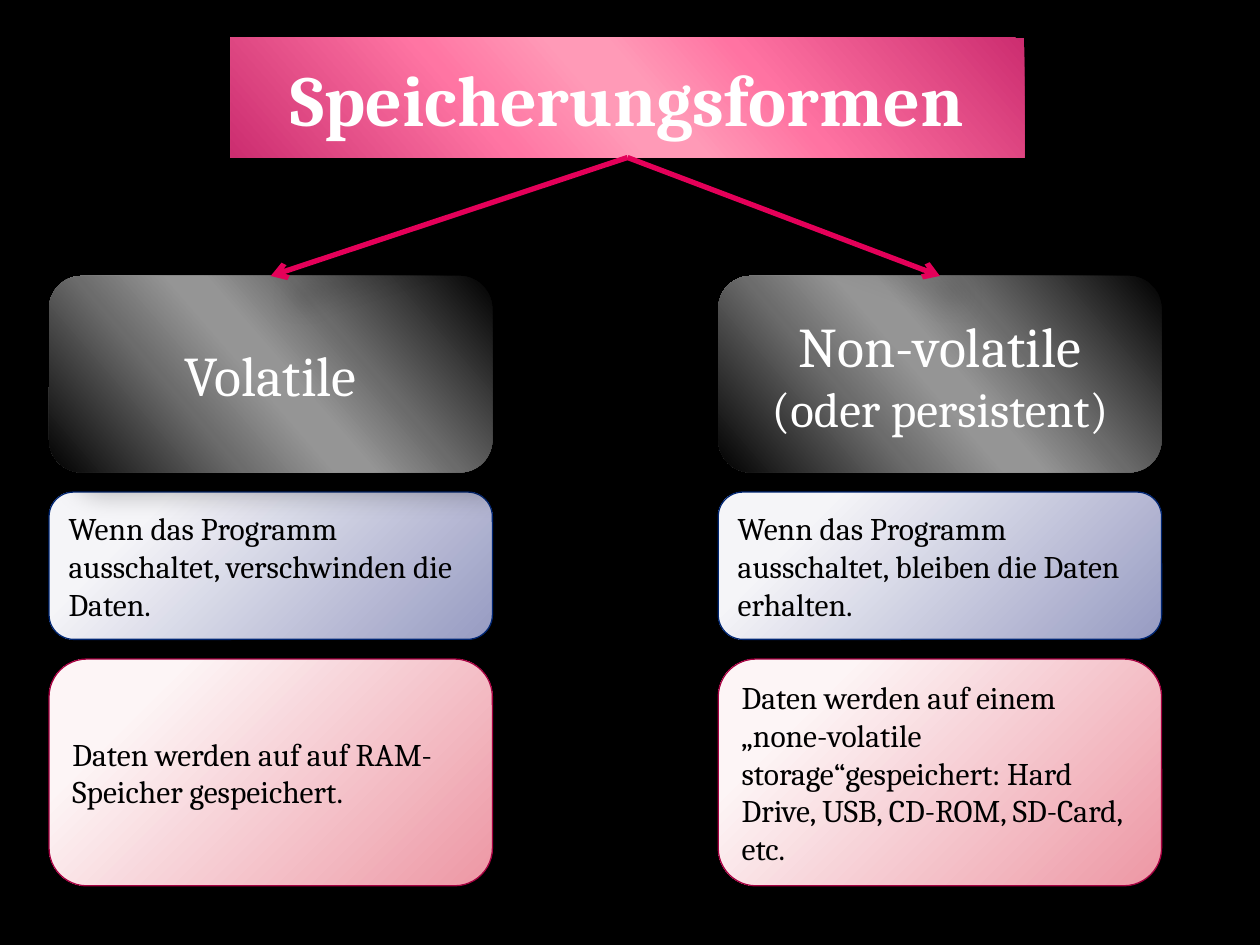
from lxml import etree
from pptx import Presentation
from pptx.dml.color import RGBColor
from pptx.enum import shapes, text
from pptx.oxml import ns
from pptx.util import Pt

FONT = "Cambria"
HEX = {
    "back": "000000", "white": "FFFFFF", "black": "000000",
    "navy": "002673", "wine": "A60041", "arrow": "E40059",
}
PINK = [(0, "CC2D70"), (33, "FF73A2"), (47, "FF9AB7"),
        (53, "FF9AB7"), (68, "FF75A3"), (100, "CC2D70")]
GREY = [(0, "000000"), (33, "6B6B6B"), (47, "959595"),
        (53, "959595"), (68, "6C6C6C"), (100, "000000")]
BLUE = [(20, "F5F5F8"), (100, "979BC2")]
ROSE = [(20, "FDF5F6"), (100, "ED97A4")]

# Shadows: opacity in percent, blur and distance in points
DEEP = (26, 15, 18)
SOFT = (35, 10.2, 8)

LEFT, RIGHT, WIDE = 28, 410.4, 253.4
TOP, GAP = 157.7, 11.2
HIGH = [112.3, 84.2, 129.6]
ROWS = [TOP + sum(HIGH[:i]) + GAP * i for i in range(len(HIGH))]


def rgb(name):
    return RGBColor.from_string(HEX[name])


def add(parent, tag, **attrs):
    node = etree.SubElement(parent, ns.qn("a:" + tag))
    for key, val in attrs.items():
        node.set(key, str(val))
    return node


def blend(shape, stops, round_off):
    """Fill with a gradient, either slanted or spreading from the top left."""
    shape.fill.gradient()
    grad = shape._element.spPr.find(ns.qn("a:gradFill"))
    for node in list(grad):
        grad.remove(node)
    group = add(grad, "gsLst")
    for pos, tone in stops:
        add(add(group, "gs", pos=pos * 1000), "srgbClr", val=tone)
    if round_off:
        path = add(grad, "path", path="circle")
        add(path, "fillToRect", l=-15000, t=-15000, r=115000, b=115000)
    else:
        add(grad, "lin", ang=139 * 60000, scaled=0)


def shade(shape, cast):
    alpha, blur, dist = cast
    group = add(shape._element.spPr, "effectLst")
    outer = add(group, "outerShdw", blurRad=Pt(blur), dist=Pt(dist),
                dir=45 * 60000, algn="tl", rotWithShape=0)
    tone = add(outer, "srgbClr", val=HEX["black"])
    add(tone, "alpha", val=alpha * 1000)


def write(shape, lines, tone, align, bold=False):
    frame = shape.text_frame
    frame.word_wrap = True
    frame.auto_size = text.MSO_AUTO_SIZE.NONE
    frame.vertical_anchor = text.MSO_ANCHOR.MIDDLE
    for i, (words, size) in enumerate(lines):
        para = frame.add_paragraph() if i else frame.paragraphs[0]
        para.alignment = align
        run = para.add_run()
        run.text = words
        font = run.font
        font.name, font.size, font.bold = FONT, Pt(size), bold
        font.color.rgb = rgb(tone)


def add_title(slide, words):
    title = slide.shapes.title
    title.left, title.top = Pt(131.8), Pt(21.6)
    title.width, title.height = Pt(453.6), Pt(68.4)
    blend(title, PINK, False)
    shade(title, DEEP)
    write(title, [(words, 41)], "white", text.PP_ALIGN.CENTER, True)
    return title


def add_box(slide, left, row, stops, round_off, edge, cast):
    box = slide.shapes.add_shape(
        shapes.MSO_SHAPE.ROUNDED_RECTANGLE,
        Pt(left), Pt(ROWS[row]), Pt(WIDE), Pt(HIGH[row]))
    blend(box, stops, round_off)
    if edge:
        box.line.color.rgb = rgb(edge)
        box.line.width = Pt(0.75)
    else:
        box.line.fill.background()
    shade(box, cast)
    return box


def add_head(slide, left, lines):
    box = add_box(slide, left, 0, GREY, False, None, DEEP)
    write(box, lines, "white", text.PP_ALIGN.CENTER)
    return box


def add_note(slide, left, row, words):
    stops, edge = [(BLUE, "navy"), (ROSE, "wine")][row - 1]
    box = add_box(slide, left, row, stops, True, edge, SOFT)
    write(box, [(words, 18)], "black", text.PP_ALIGN.LEFT)


def add_arrow(slide, start, end):
    """Link the bottom of one shape to the top of another."""
    link = slide.shapes.add_connector(shapes.MSO_CONNECTOR.STRAIGHT, 0, 0, 0, 0)
    link.begin_connect(start, 2)
    link.end_connect(end, 0)
    link.line.color.rgb = rgb("arrow")
    link.line.width = Pt(3)
    add(link._element.spPr.find(ns.qn("a:ln")), "tailEnd", type="arrow")
    shade(link, DEEP)


def main():
    deck = Presentation()
    deck.slide_width, deck.slide_height = Pt(720), Pt(540)
    slide = deck.slides.add_slide(deck.slide_layouts[5])
    slide.background.fill.solid()
    slide.background.fill.fore_color.rgb = rgb("back")

    title = add_title(slide, "Speicherungsformen")
    right = add_head(slide, RIGHT, [("Non-volatile", 32), ("(oder persistent)", 28)])
    # The left head comes after its note, so that its shadow falls on it
    add_note(slide, LEFT, 1, "Wenn das Programm ausschaltet, verschwinden die Daten.")
    left = add_head(slide, LEFT, [("Volatile", 32)])
    add_note(slide, LEFT, 2, "Daten werden auf auf RAM-Speicher gespeichert.")
    add_note(slide, RIGHT, 1, "Wenn das Programm ausschaltet, bleiben die Daten erhalten.")
    add_note(slide, RIGHT, 2, "Daten werden auf einem „none-volatile storage“gespeichert: "
                              "Hard Drive, USB, CD-ROM, SD-Card, etc.")
    for head in (left, right):
        add_arrow(slide, title, head)
    deck.save("out.pptx")


if __name__ == "__main__":
    main()
